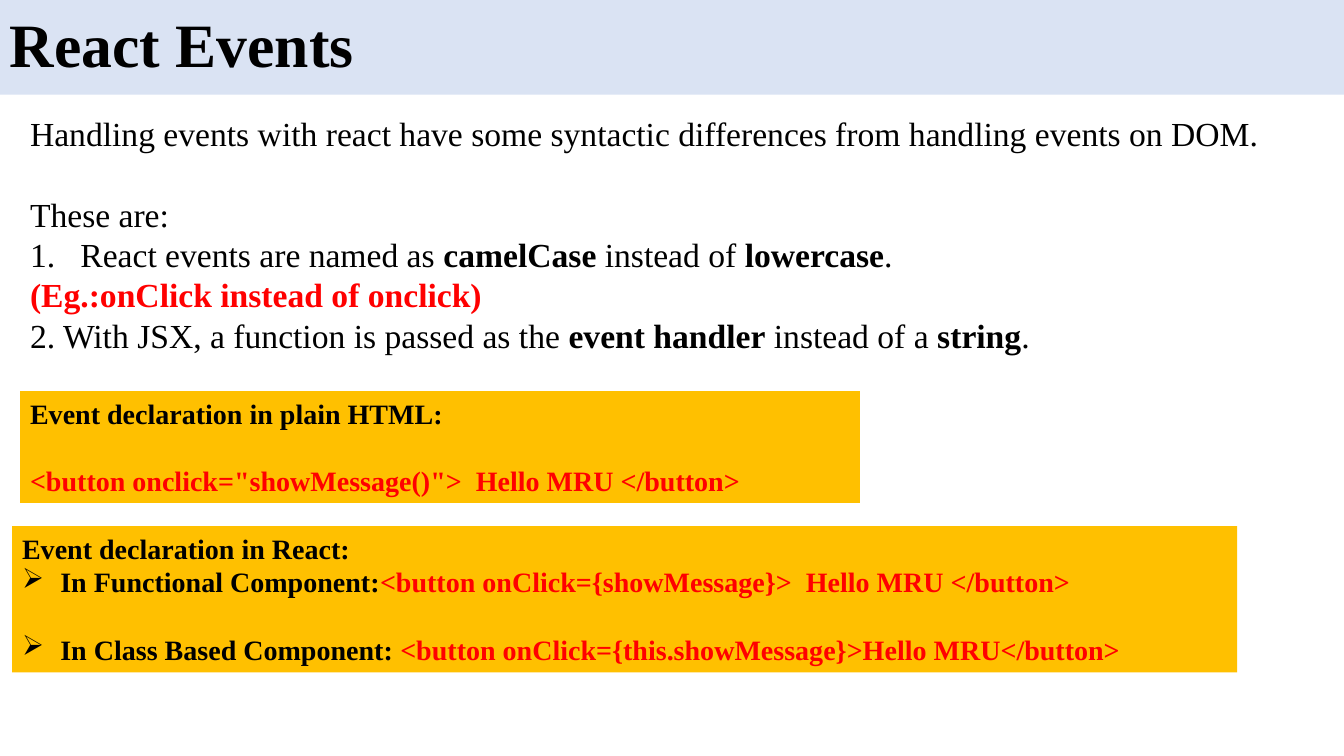
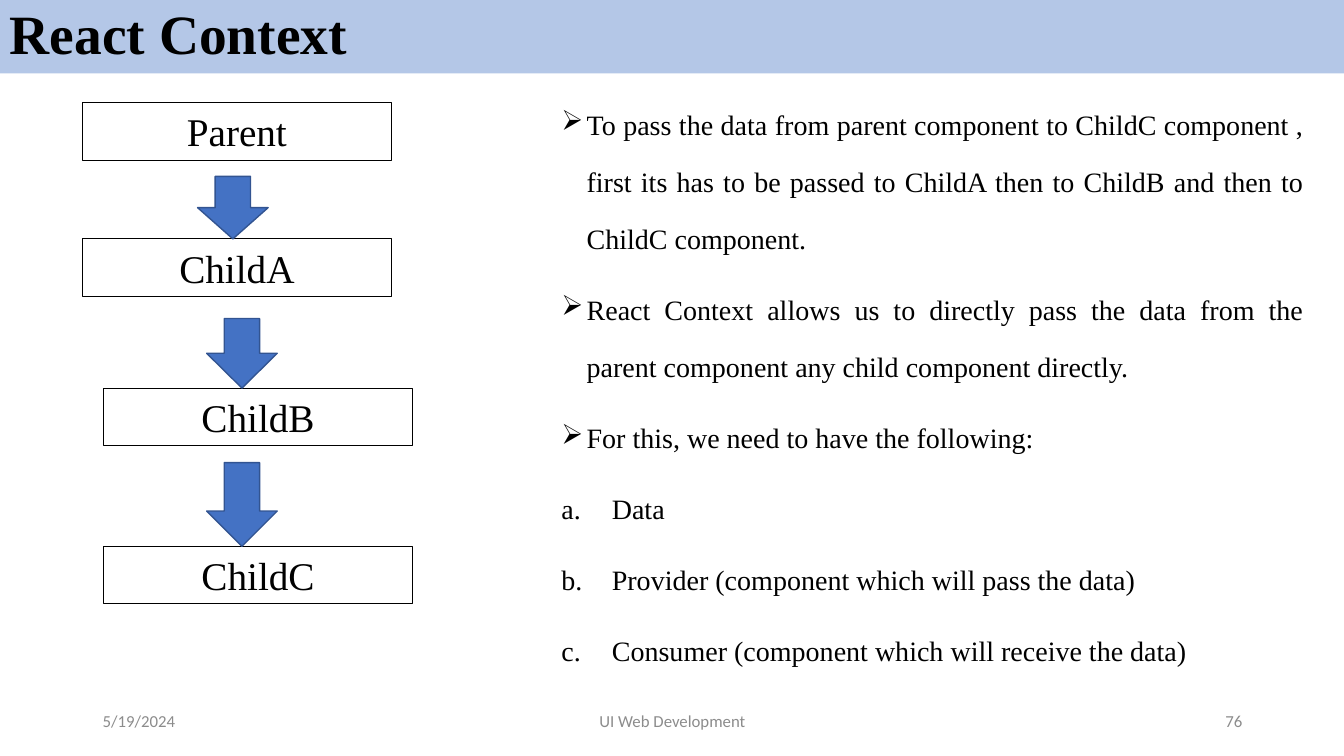
import dataclasses

import pptx
import pptx.dml.color
import pptx.enum.shapes
import pptx.enum.text
import pptx.oxml.ns
import pptx.util
from lxml import etree

Inches = pptx.util.Inches
Pt = pptx.util.Pt
Align = pptx.enum.text.PP_ALIGN
Anchor = pptx.enum.text.MSO_ANCHOR
Shape = pptx.enum.shapes.MSO_SHAPE

COLORS = {
    "text": "000000",
    "accent": "FF0000",
    "pale_band": "DAE3F3",
    "band": "B4C7E7",
    "highlight": "FFC000",
    "arrow": "4472C4",
    "arrow_edge": "325491",
    "footer": "8C8C8C",
}
SERIF = "Times New Roman"
SANS = "Calibri"
SLIDE_WIDTH, SLIDE_HEIGHT = 13.33, 7.5
ARROW_BULLET = ("buChar", "char", "➢")
NUMBER_BULLET = ("buAutoNum", "type", "arabicPeriod")
LETTER_BULLET = ("buAutoNum", "type", "alphaLcPeriod")


@dataclasses.dataclass
class Style:
    """Describe the look shared by the paragraphs of one box."""
    size: float
    font: str = SERIF
    color: str = "text"
    bold: bool = False
    align: Align = Align.LEFT
    line_spacing: float = 1.0


@dataclasses.dataclass
class Line:
    """Hold the runs of one paragraph as (text, bold, color) with its spacing and bullet."""
    runs: list
    bullet: tuple = None
    indent: float = 0
    space_before: float = 0


def plain(text, **options):
    """Return a paragraph of a single run in the style of its box."""
    return Line([(text, None, None)], **options)


def rgb(name):
    """Return the named colour."""
    return pptx.dml.color.RGBColor.from_string(COLORS[name])


def add_bullet(paragraph, bullet, indent):
    """Give the paragraph a hanging indent and a bullet."""
    tag, attribute, value = bullet
    properties = paragraph._p.get_or_add_pPr()
    properties.set("marL", str(Inches(indent)))
    properties.set("indent", str(-Inches(indent)))
    etree.SubElement(properties, pptx.oxml.ns.qn("a:" + tag)).set(attribute, value)


def write_text(shape, lines, style, anchor=Anchor.TOP):
    """Fill the shape with paragraphs in one style."""
    frame = shape.text_frame
    frame.word_wrap = True
    frame.vertical_anchor = anchor
    for index, line in enumerate(lines):
        paragraph = frame.paragraphs[0] if index == 0 else frame.add_paragraph()
        paragraph.alignment = style.align
        paragraph.line_spacing = style.line_spacing
        paragraph.space_before = Pt(line.space_before)
        if line.bullet:
            add_bullet(paragraph, line.bullet, line.indent)
        paragraph.font.name = style.font
        paragraph.font.size = Pt(style.size)
        paragraph.font.bold = style.bold
        paragraph.font.color.rgb = rgb(style.color)
        for text, bold, color in line.runs:
            run = paragraph.add_run()
            run.text = text
            if bold is not None:
                run.font.bold = bold
            if color:
                run.font.color.rgb = rgb(color)


def add_text(slide, box, lines, style, anchor=Anchor.TOP):
    """Add a text box."""
    shape = slide.shapes.add_textbox(*map(Inches, box))
    write_text(shape, lines, style, anchor)


def add_block(slide, kind, box, fill=None, edge=None, edge_width=0.75):
    """Add a flat preset shape."""
    shape = slide.shapes.add_shape(kind, *map(Inches, box))
    shape.shadow.inherit = False
    if fill:
        shape.fill.solid()
        shape.fill.fore_color.rgb = rgb(fill)
    else:
        shape.fill.background()
    if edge:
        shape.line.color.rgb = rgb(edge)
        shape.line.width = Pt(edge_width)
    else:
        shape.line.fill.background()
    return shape


def add_title(slide, text, height, fill, size):
    """Add the full-width title band."""
    band = add_block(slide, Shape.RECTANGLE, (0, 0, SLIDE_WIDTH, height), fill)
    style = Style(size, bold=True, line_spacing=0.9)
    write_text(band, [plain(text)], style, Anchor.MIDDLE)


def add_highlight(slide, box, lines):
    """Add a highlighted panel of code examples."""
    panel = add_block(slide, Shape.RECTANGLE, box, "highlight")
    write_text(panel, lines, Style(20, bold=True))


def add_footer(slide, top, date, title, number):
    """Add the date, the course title and the page number."""
    parts = (
        (0.92, 3, date, Align.LEFT),
        (4.42, 4.5, title, Align.CENTER),
        (9.42, 3, number, Align.RIGHT),
    )
    for left, width, text, align in parts:
        style = Style(12, SANS, "footer", align=align)
        add_text(slide, (left, top, width, 0.4), [plain(text)], style, Anchor.MIDDLE)


def add_component_chain(slide, left, top):
    """Draw the chain of components, each arrow ending on the box below it."""
    node_width, node_height, arrow_width = 3.06, 0.57, 0.7
    components = (
        ("Parent", 0, 0, None),
        ("ChildA", 0, 1.35, (1.14, 0.62)),
        ("ChildB", 0.21, 2.83, (1.23, 0.69)),
        ("ChildC", 0.21, 4.4, (1.23, 0.83)),
    )
    for name, shift, drop, arrow in components:
        node_top = top + drop
        node_box = (left + shift, node_top, node_width, node_height)
        node = add_block(slide, Shape.RECTANGLE, node_box, edge="text")
        write_text(node, [plain(name)], Style(28, align=Align.CENTER))
        if arrow:
            arrow_shift, arrow_height = arrow
            arrow_box = (left + arrow_shift, node_top - arrow_height, arrow_width, arrow_height)
            add_block(slide, Shape.DOWN_ARROW, arrow_box, "arrow", "arrow_edge", 1)


def build_events_slide(slide):
    """Build the slide on event handling."""
    add_title(slide, "React Events", 0.94, "pale_band", 44)
    introduction = [
        plain("Handling events with react have some syntactic differences "
              "from handling events on DOM."),
        plain("These are:", space_before=28.8),
        Line([("React events are named as ", None, None), ("camelCase", True, None),
              (" instead of ", None, None), ("lowercase", True, None), (".", None, None)],
             NUMBER_BULLET, 0.5),
        Line([("(Eg.:onClick instead of onclick)", True, "accent")]),
        Line([("2. With JSX, a function is passed as the ", None, None),
              ("event handler", True, None), (" instead of a ", None, None),
              ("string", True, None), (".", None, None)]),
    ]
    add_text(slide, (0.2, 1.07, 12.97, 2.59), introduction, Style(24, align=Align.JUSTIFY))
    add_highlight(slide, (0.2, 3.88, 8.33, 1.11), [
        plain("Event declaration in plain HTML:"),
        Line([('<button onclick="showMessage()">  Hello MRU </button>', None, "accent")],
             space_before=24),
    ])
    add_highlight(slide, (0.12, 5.22, 12.15, 1.45), [
        plain("Event declaration in React:"),
        Line([("In Functional Component:", None, None),
              ("<button onClick={showMessage}>  Hello MRU </button>", None, "accent")],
             ARROW_BULLET, 0.38),
        Line([("In Class Based Component: ", None, None),
              ("<button onClick={this.showMessage}>Hello MRU</button>", None, "accent")],
             ARROW_BULLET, 0.38, 24),
    ])


def build_context_slide(slide):
    """Build the slide on passing data with context."""
    add_title(slide, "React Context", 0.73, "band", 39.6)
    add_component_chain(slide, 0.82, 1.02)
    points = (
        "To pass the data from parent component to ChildC component , first its has to be "
        "passed to ChildA then to ChildB and then to ChildC component.",
        "React Context allows us to directly pass the data from the parent component any "
        "child component directly.",
        "For this, we need to have the following:",
    )
    needs = (
        "Data",
        "Provider (component which will pass the data)",
        "Consumer (component which will receive the data)",
    )
    lines = [plain(text, bullet=ARROW_BULLET, indent=0.25, space_before=10) for text in points]
    lines += [plain(text, bullet=LETTER_BULLET, indent=0.5, space_before=10) for text in needs]
    lines[0].space_before = 0
    style = Style(20, align=Align.JUSTIFY, line_spacing=1.7)
    add_text(slide, (5.47, 0.78, 7.56, 6.44), lines, style)
    add_footer(slide, 6.95, "5/19/2024", "UI Web Development", "76")


def main():
    """Build and save the presentation."""
    presentation = pptx.Presentation()
    presentation.slide_width = Inches(SLIDE_WIDTH)
    presentation.slide_height = Inches(SLIDE_HEIGHT)
    blank = presentation.slide_layouts[6]
    for build in (build_events_slide, build_context_slide):
        build(presentation.slides.add_slide(blank))
    presentation.save("out.pptx")


if __name__ == "__main__":
    main()
